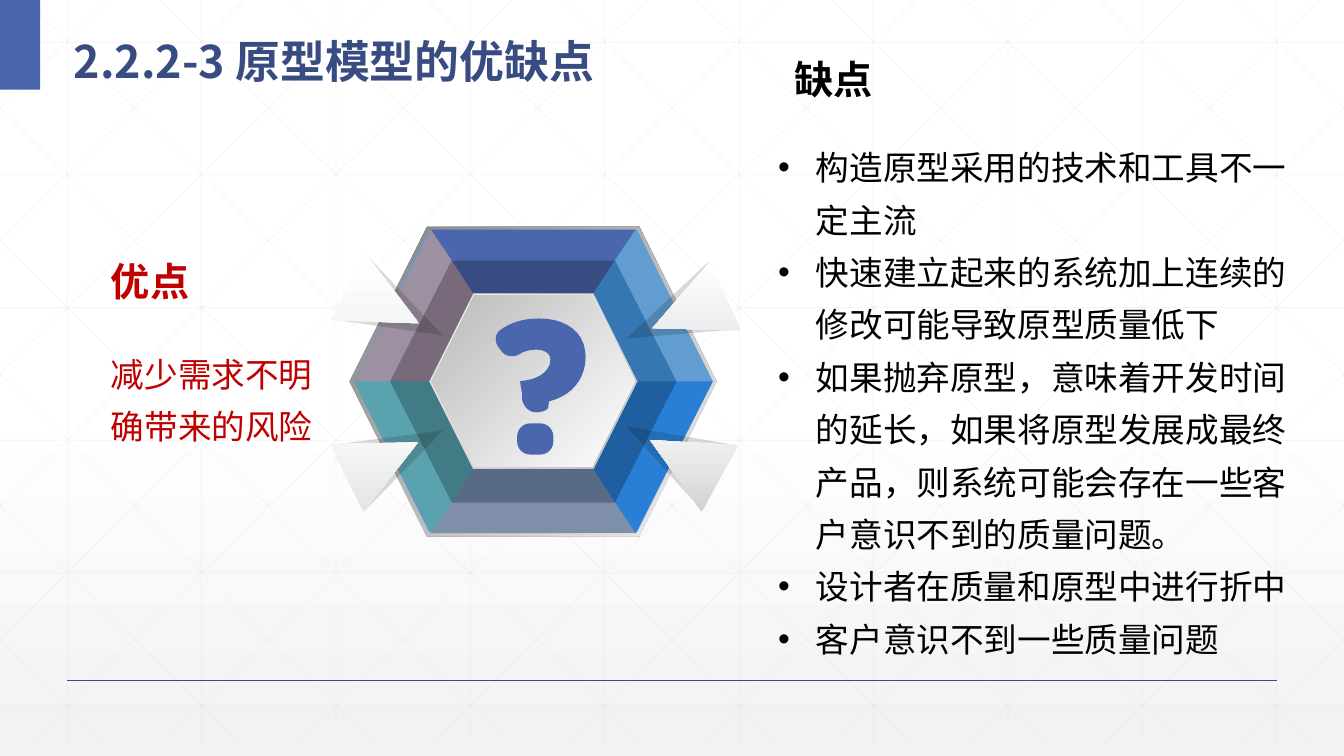
from lxml import etree
from pptx import Presentation
from pptx.dml.color import RGBColor
from pptx.enum import shapes, text
from pptx.oxml.ns import qn
from pptx.util import Pt

# Content
TITLE = ["2.2.2-3 ", "原型模型的优缺点"]
PROS_HEAD, PROS = "优点", "减少需求不明确带来的风险"
CONS_HEAD = "缺点"
CONS = [
    "构造原型采用的技术和工具不一定主流",
    "快速建立起来的系统加上连续的修改可能导致原型质量低下",
    "如果抛弃原型，意味着开发时间的延长，如果将原型发展成最终产品，"
    "则系统可能会存在一些客户意识不到的质量问题。",
    "设计者在质量和原型中进行折中",
    "客户意识不到一些质量问题",
]
C = {"white": "FFFFFF", "paper": "F2F2F2", "grid": "D9D9D9", "navy": "384C81",
     "blue": "4A66AC", "sky": "629DD1", "red": "C00000", "black": "000000",
     "shade": "0D0D0D", "grey": "808080", "silver": "BFBFBF", "steel": "BABABA"}
CJK = "Noto Sans CJK SC"

# Hexagon badge: rings are half width, half width of the flat side, half height
CENTRE = (381, 272.5)
RINGS = [(128.2, 73, 108.4), (102.4, 58.3, 86.6), (74.4, 42.9, 63)]
# Facets clockwise from upper left: outer band, inner band
FACETS = [("9D90A0", "78697B"), ("4A66AC", "384C81"), ("629DD1", "3477B2"),
          ("297FD5", "1F5FA0"), ("7F8FA9", "596A85"), ("5AA2AE", "417B85")]
HEXAGONS = [  # left, top, width, height, fill colours, gradient angle
    (249.8, 162, 262.1, 221, ("grey", "paper"), 45),
    (252.7, 164.2, 256.3, 216, ("sky",), 0),
    (278.6, 185.8, 205.2, 172.8, ("blue",), 0),
    (306, 208.8, 149.8, 126, ("silver", "paper"), 225),
    (308.2, 211, 145.4, 122.4, ("white", "steel"), 225),
]
SHARDS = [  # rotation, shade corner, blade corner, blade end colour
    (298.8, (454.3, 285.1), (462.2, 299.5), "D3D3D4"),
    (246.1, (455.8, 188.6), (465.1, 194.4), "E2E3E4"),
    (63.5, (256.3, 286.6), (246.2, 300.2), "E4E5E6"),
    (117.4, (256.3, 184.3), (247, 189.4), "F0F1F1"),
]
# Question mark hook: one point is a line, three points are a curve
HOOK_START = (385.2, 227.5)
HOOK = [
    [(404.6, 227.5), (418.3, 237.6), (418.3, 254.9)],
    [(418.3, 271.4), (407.5, 283), (392.4, 286.6)],
    [(392.4, 286.6), (391.7, 288), (391.7, 290.9)],
    [(391, 293), (387.4, 294.5), (383, 294.5)],
    [(378, 294.5), (374.4, 290.9), (373, 285.8)],
    [(373, 281.5)],
    [(372.2, 277.2), (371.5, 272.9), (371.5, 272.2)],
    [(372.2, 272.2)],
    [(388.1, 270.7), (393.1, 262.8), (393.1, 257)],
    [(393.1, 252.7), (389.5, 249.8), (383, 249.8)],
    [(379.4, 249.8), (375.1, 250.6), (371.5, 252.7)],
    [(367.2, 255.6), (361.4, 254.9), (358.6, 251.3)],
    [(356.4, 248.4)],
    [(352.8, 244.1), (353.5, 238.3), (357.8, 235.4)],
    [(365, 230.4), (373.7, 227.5), (385.2, 227.5)],
]

W, H = 960, 540
prs = Presentation()
prs.slide_width, prs.slide_height = Pt(W), Pt(H)
s = prs.slides.add_slide(prs.slide_layouts[1])
title, body = s.placeholders


def rgb(name):
    return RGBColor.from_string(C.get(name, name))


def set_alpha(element, percent):
    color = element.find(".//" + qn("a:srgbClr"))
    etree.SubElement(color, qn("a:alpha"), val=str(percent * 1000))


def gradient(fill, colors, angle, start=0):
    fill.gradient()
    fill.gradient_angle = (360 - angle) % 360
    for stop, color, pos in zip(fill.gradient_stops, colors, (start, 1)):
        stop.color.rgb, stop.position = rgb(color), pos


def paint(sp, colors, angle=0):
    sp.shadow.inherit = False
    sp.line.fill.background()
    if len(colors) == 2:
        gradient(sp.fill, colors, angle)
        sp._element.spPr.find(qn("a:gradFill")).set("rotWithShape", "0")
    else:
        sp.fill.solid()
        sp.fill.fore_color.rgb = rgb(colors[0])
    return sp


def shape(kind, box, colors, angle=0):
    sp = s.shapes.add_shape(kind, *map(Pt, box))
    return paint(sp, colors, angle)


def outline(points, color):
    # 100 drawing units to the point
    pts = [(round(x * 100), round(y * 100)) for x, y in points]
    fb = s.shapes.build_freeform(*pts[0], scale=Pt(1) / 100)
    fb.add_line_segments(pts[1:], close=True)
    return paint(fb.convert_to_shape(), [color])


def line(x1, y1, x2, y2, color, width, alpha=None):
    cx = s.shapes.add_connector(shapes.MSO_CONNECTOR.STRAIGHT,
                                *map(Pt, (x1, y1, x2, y2)))
    cx.line.color.rgb, cx.line.width = rgb(color), Pt(width)
    if alpha:
        set_alpha(cx._element.spPr, alpha)
    etree.SubElement(cx._element.spPr, qn("a:effectLst"))


def write(sp, box, paras, size, color, bold=False, anchor="TOP", spacing=1.0,
          inset=0, bullets=False, fonts=(CJK,)):
    sp.left, sp.top, sp.width, sp.height = map(Pt, box)
    tf = sp.text_frame
    frame = {"word_wrap": True, "auto_size": text.MSO_AUTO_SIZE.NONE,
             "vertical_anchor": getattr(text.MSO_ANCHOR, anchor),
             "margin_left": Pt(inset), "margin_right": Pt(inset),
             "margin_top": Pt(inset / 2), "margin_bottom": Pt(inset / 2)}
    for key, value in frame.items():
        setattr(tf, key, value)
    for i, runs in enumerate(paras):
        p = tf.add_paragraph() if i else tf.paragraphs[0]
        p.alignment, p.line_spacing = text.PP_ALIGN.LEFT, spacing
        p.space_before = Pt(0)
        if bullets:
            pPr = p._p.get_or_add_pPr()
            pPr.set("marL", str(Pt(27)))
            pPr.set("indent", str(-Pt(27)))
            etree.SubElement(pPr, qn("a:buFont"), typeface="Arial")
            etree.SubElement(pPr, qn("a:buChar"), char="•")
        for words, font in zip(runs, fonts):
            r = p.add_run()
            r.text = words
            for key, value in {"size": Pt(size), "bold": bold, "name": font}.items():
                setattr(r.font, key, value)
            r.font.color.rgb = rgb(color)
            etree.SubElement(r._r.get_or_add_rPr(), qn("a:ea"), typeface=CJK)


# Background and faint grid
gradient(s.background.fill, ("white", "paper"), 90, start=0.53)
BOTTOM, RUN = 530.6, 536.8
slope = BOTTOM / RUN
grid = [(48 + 96 * i, 0, 48 + 96 * i, BOTTOM) for i in range(10)]
grid += [(0, 30.2 + 94.75 * i, W, 30.2 + 94.75 * i) for i in range(6)]
for i in range(-5, 10):
    x = 18 + 96 * i
    x1, x2 = max(x, 0), min(x + RUN, W)
    y1, y2 = (x1 - x) * slope, (x2 - x) * slope
    grid += [(x1, y1, x2, y2), (W - x1, y1, W - x2, y2)]
for ends in grid:
    line(*ends, "grid", 0.5, alpha=25)
line(48, 486, 912, 486, "navy", 1)
KIND = shapes.MSO_SHAPE
shape(KIND.RECTANGLE, (0, 0, 28.8, 64.1), ["blue"])

# Hexagon badge with bevelled facets
for *box, colors, angle in HEXAGONS:
    shape(KIND.HEXAGON, box, colors, angle)


def corners(ring):
    far, flat, high = ring
    steps = [(-far, 0), (-flat, -high), (flat, -high),
             (far, 0), (flat, high), (-flat, high)]
    return [(CENTRE[0] + dx, CENTRE[1] + dy) for dx, dy in steps]


rings = [corners(ring) for ring in RINGS]
for band in (1, 0):
    outer, inner = rings[band], rings[band + 1]
    for i, colors in enumerate(FACETS):
        j = (i + 1) % 6
        outline([outer[i], outer[j], inner[j], inner[i]], colors[band])

# Shards piercing the rim
for angle, shade_at, blade_at, color in SHARDS:
    shade = shape(KIND.ISOSCELES_TRIANGLE, (*shade_at, 52.6, 75.6), ["shade"])
    set_alpha(shade._element.spPr, 16)
    blade = shape(KIND.ISOSCELES_TRIANGLE, (*blade_at, 54, 56.9), ("white", color), 90)
    shade.rotation = blade.rotation = angle

# Question mark
hook = [HOOK_START]
for seg in HOOK:
    if len(seg) == 1:
        hook += seg
        continue
    ctrl = [hook[-1], *seg]
    for t in (k / 10 for k in range(1, 11)):
        weights = ((1 - t) ** 3, 3 * t * (1 - t) ** 2, 3 * t * t * (1 - t), t ** 3)
        hook.append(tuple(sum(w * q[a] for w, q in zip(weights, ctrl)) for a in (0, 1)))
outline(hook, "blue")
dot = shape(KIND.ROUNDED_RECTANGLE, (369.4, 302.4, 25.9, 22.3), ["blue"])
dot.adjustments[0] = 0.42

# Texts, with the placeholders brought in front of the grid
for sp in (title, body):
    s.shapes._spTree.append(sp._element)
write(title, (45.4, 11.5, 476.6, 52.6), [TITLE], 32, "navy", bold=True,
      anchor="MIDDLE", spacing=1.3, inset=7.2, fonts=(CJK, "Arial"))
write(body, (555.8, 96.5, 365.8, 383.8), [[item] for item in CONS], 24, "black",
      spacing=1.3, bullets=True)
LABELS = [
    ((79.2, 162.7, 150.5, 76.3), PROS_HEAD, 28, "red", True, "MIDDLE", 1.0, "Arial"),
    ((79.2, 244.1, 150.5, 100.8), PROS, 24, "red", False, "TOP", 1.3, CJK),
    ((567.4, 20.2, 150.5, 64.8), CONS_HEAD, 28, "black", True, "MIDDLE", 1.2, "Arial"),
]
for box, words, size, color, bold, anchor, spacing, font in LABELS:
    write(s.shapes.add_textbox(*map(Pt, box)), box, [[words]], size, color, bold,
          anchor, spacing, fonts=(font,))

prs.save("out.pptx")
